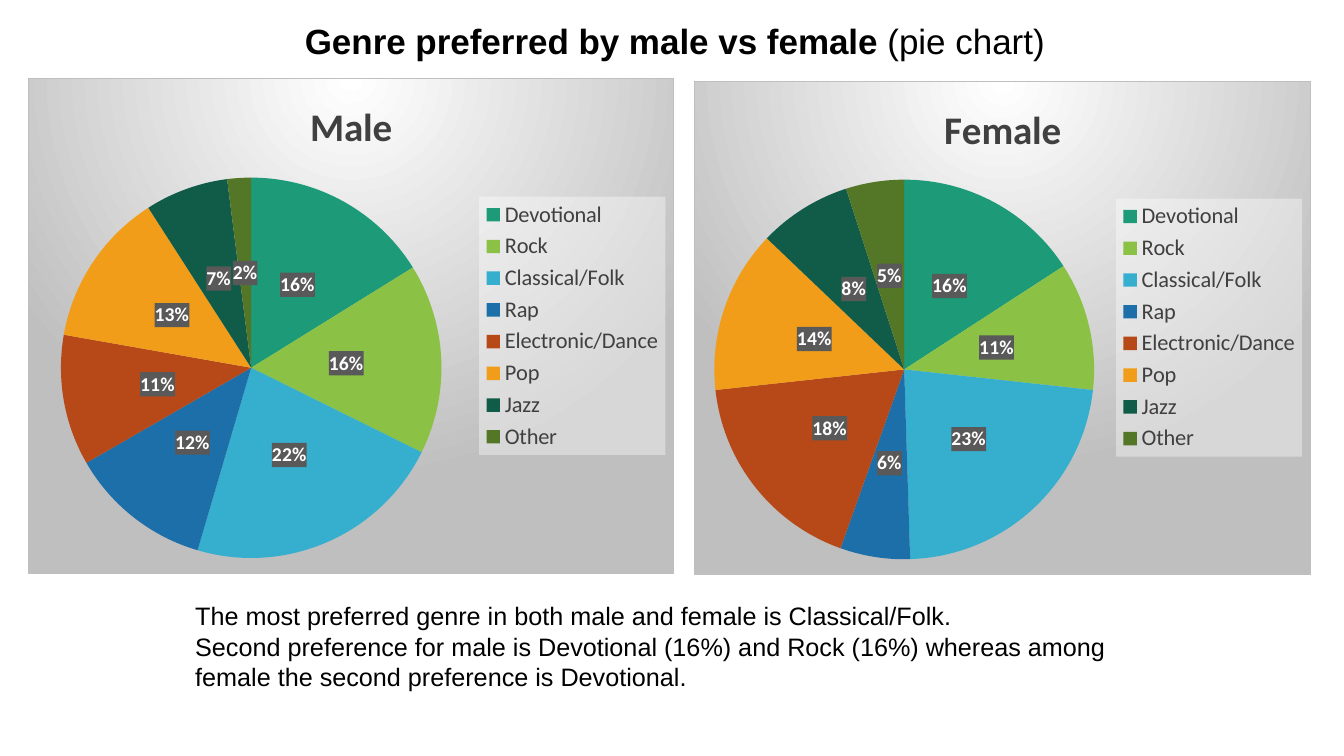
import pptx
import pptx.chart.data
import pptx.dml.color
import pptx.enum.chart
import pptx.enum.text
import pptx.oxml
import pptx.oxml.ns
import pptx.util

Cm = pptx.util.Cm
Pt = pptx.util.Pt
RGB = pptx.dml.color.RGBColor
qn = pptx.oxml.ns.qn

BLACK = RGB(0, 0, 0)
WHITE = RGB(0xFF, 0xFF, 0xFF)
DARK = RGB(0x40, 0x40, 0x40)
LABEL = RGB(0x59, 0x59, 0x59)
GREY = RGB(0xBF, 0xBF, 0xBF)
GENRES = {
    "Devotional": RGB(0x1D, 0x9A, 0x78),
    "Rock": RGB(0x8B, 0xC1, 0x45),
    "Classical/Folk": RGB(0x36, 0xAF, 0xCE),
    "Rap": RGB(0x1D, 0x6F, 0xA9),
    "Electronic/Dance": RGB(0xB7, 0x49, 0x19),
    "Pop": RGB(0xF1, 0x9D, 0x19),
    "Jazz": RGB(0x11, 0x5C, 0x48),
    "Other": RGB(0x54, 0x76, 0x27),
}
NOTES = [
    "The most preferred genre in both male and female is Classical/Folk.",
    "Second preference for male is Devotional (16%) and Rock (16%) whereas "
    "among female the second preference is Devotional.",
]


def style(font, face, size, color, bold=None):
    font.name = face
    font.size = Pt(size)
    font.color.rgb = color
    font.bold = bold


def make(tag, body):
    """Build a chart element from its inner XML."""
    names = pptx.oxml.ns.nsdecls("c", "a")
    return pptx.oxml.parse_xml(f"<c:{tag} {names}>{body}</c:{tag}>")


def solid(color, alpha=100):
    return make("spPr", f'<a:solidFill><a:srgbClr val="{color}">'
                f'<a:alpha val="{alpha * 1000}"/></a:srgbClr></a:solidFill>')


def glow():
    """Round gradient from the top centre, with a thin border."""
    return make("spPr", f'''<a:gradFill><a:gsLst>
        <a:gs pos="0"><a:srgbClr val="{WHITE}"/></a:gs>
        <a:gs pos="100000"><a:srgbClr val="{GREY}"/></a:gs></a:gsLst>
        <a:path path="circle">
        <a:fillToRect l="50000" t="0" r="50000" b="100000"/></a:path>
        </a:gradFill><a:ln w="9525"><a:solidFill><a:srgbClr val="{GREY}"/>
        </a:solidFill></a:ln>''')


def place(chart, area):
    """Set the pie's inner box as shares of the chart."""
    plot = chart._chartSpace.chart.plotArea
    for old in plot.findall(qn("c:layout")):
        plot.remove(old)
    sizes = "".join(f'<c:{key} val="{val}"/>' for key, val in zip("xywh", area))
    plot.insert(0, make("layout", '<c:manualLayout><c:layoutTarget val="inner"/>'
                        '<c:xMode val="edge"/><c:yMode val="edge"/>'
                        f'{sizes}</c:manualLayout>'))


def add_pie(slide, name, values, box, area):
    data = pptx.chart.data.CategoryChartData()
    data.categories = list(GENRES)
    data.add_series("Series 1", values)
    kind = pptx.enum.chart.XL_CHART_TYPE.PIE
    chart = slide.shapes.add_chart(kind, *map(Cm, box), data).chart
    style(chart.font, "Arial", 10, BLACK)
    chart._chartSpace.chart.addnext(glow())
    place(chart, area)

    # Title
    chart.has_title = True
    head = chart.chart_title.text_frame
    head.text = name
    style(head.paragraphs[0].font, "Calibri", 28, DARK, True)
    chart.chart_title.include_in_layout = False

    # Legend
    chart.has_legend = True
    legend = chart.legend
    legend.position = pptx.enum.chart.XL_LEGEND_POSITION.RIGHT
    legend.include_in_layout = False
    style(legend.font, "Calibri", 16, DARK)
    legend._element.find(qn("c:txPr")).addprevious(solid(WHITE, 39))

    # Slices and their labels
    plot = chart.plots[0]
    plot.vary_by_categories = True
    for spot, color in enumerate(GENRES.values()):
        look = plot.series[0].points[spot].format
        look.fill.solid()
        look.fill.fore_color.rgb = color
        look.line.fill.background()
    labels = plot.series[0].data_labels
    labels.show_percentage = True
    labels.show_value = False
    labels.number_format = "0%"
    labels.number_format_is_linked = False
    labels.position = pptx.enum.chart.XL_LABEL_POSITION.CENTER
    style(labels.font, "Calibri", 14, WHITE, True)
    labels._element.find(qn("c:txPr")).addprevious(solid(LABEL))


def set_title(slide):
    title = slide.shapes.title
    title.left, title.top, title.width, title.height = map(
        Cm, (7.01, 0.51, 19.99, 1.04))
    frame = title.text_frame
    frame.margin_left = frame.margin_right = 0
    frame.margin_top = frame.margin_bottom = 0
    frame.vertical_anchor = pptx.enum.text.MSO_ANCHOR.MIDDLE
    frame.auto_size = pptx.enum.text.MSO_AUTO_SIZE.NONE
    para = frame.paragraphs[0]
    para.alignment = pptx.enum.text.PP_ALIGN.CENTER
    style(para.font, "Arial", 25, BLACK)
    for text, bold in (("Genre preferred by male vs female ", True),
                       ("(pie chart)", False)):
        run = para.add_run()
        run.text = text
        run.font.bold = bold


def add_notes(slide, lines, box):
    frame = slide.shapes.add_textbox(*map(Cm, box)).text_frame
    frame.word_wrap = True
    frame.text = "\n".join(lines)
    for para in frame.paragraphs:
        style(para.font, "Arial", 18, BLACK)


def main():
    deck = pptx.Presentation()
    deck.slide_width, deck.slide_height = Cm(33.87), Cm(19.05)
    slide = deck.slides.add_slide(deck.slide_layouts[5])
    set_title(slide)

    # One pie for each group
    add_pie(slide, "Male", (16, 16, 22, 12, 11, 13, 7, 2),
            (0.71, 1.96, 16.28, 12.5), (0.05, 0.2, 0.59, 0.77))
    add_pie(slide, "Female", (16, 11, 23, 6, 18, 14, 8, 5),
            (17.5, 2.03, 15.54, 12.45), (0.03, 0.2, 0.62, 0.77))

    # Findings
    add_notes(slide, NOTES, (4.67, 15.01, 25.22, 3.3))
    deck.save("out.pptx")


if __name__ == "__main__":
    main()
